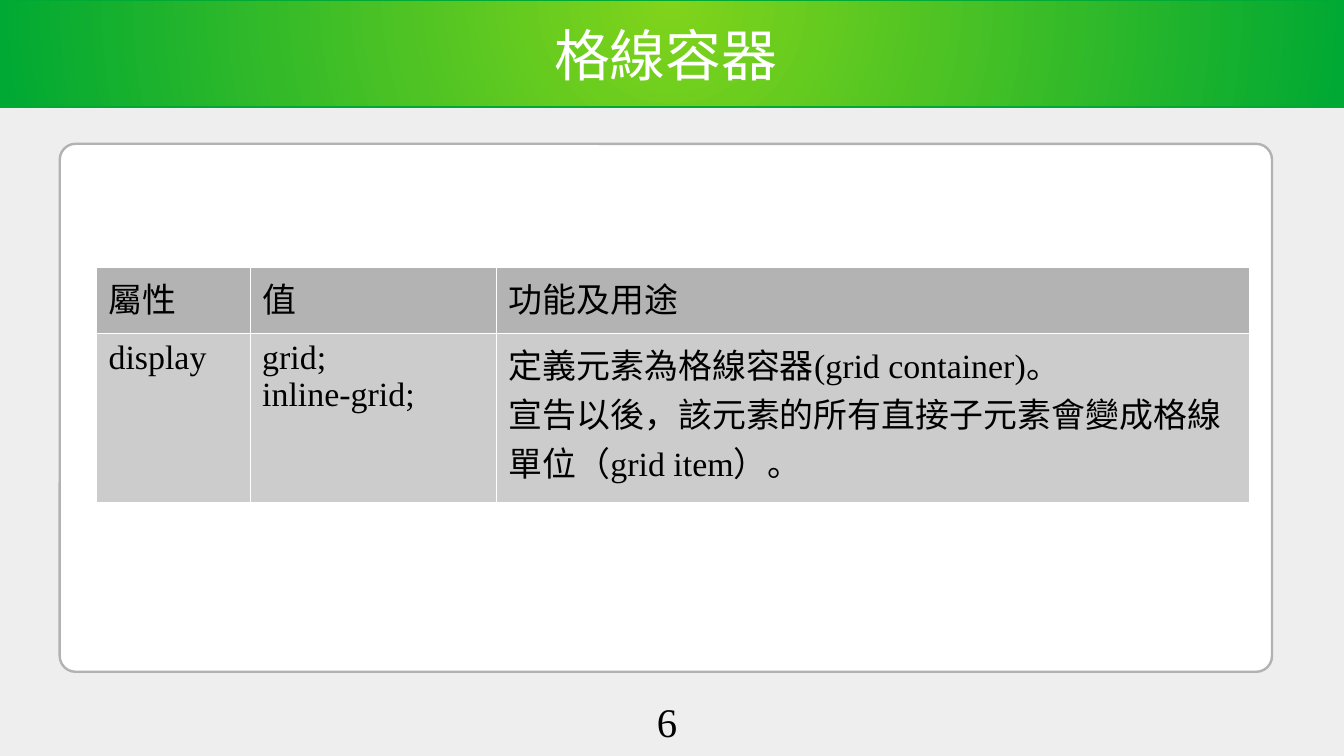
from dataclasses import dataclass

import pptx
import pptx.dml.color
import pptx.enum.dml
import pptx.enum.shapes
import pptx.enum.text
import pptx.oxml
import pptx.oxml.ns
import pptx.util
from pptx.util import Inches


@dataclass(frozen=True)
class Theme:
    background: str = "EEEEEE"
    banner_center: str = "81D41A"
    banner_edge: str = "00A933"
    panel_line: str = "B2B2B2"
    header_fill: str = "B3B3B3"
    body_fill: str = "CCCCCC"
    white: str = "FFFFFF"
    text: str = "000000"
    title_font: str = "Noto Sans"
    body_font: str = "Times New Roman"
    title_size: float = 33
    table_size: float = 20
    number_size: float = 24
    line_width: float = 1.42
    border_width: float = 0.06


THEME = Theme()
TABLE_ROWS = [
    ["屬性", "值", "功能及用途"],
    [
        "display",
        "grid;\ninline-grid;",
        "定義元素為格線容器(grid container)。\n"
        "宣告以後，該元素的所有直接子元素會變成格線單位（grid item）。",
    ],
]
COLUMN_WIDTHS = [1.26, 2.02, 6.17]
ROW_HEIGHTS = [0.54, 1.39]


def rgb(color):
    return pptx.dml.color.RGBColor.from_string(color)


def drawing_xml(markup):
    """Parse one DrawingML element; {ns} in the markup stands for its namespace."""
    return pptx.oxml.parse_xml(markup.replace("{ns}", pptx.oxml.ns.nsdecls("a")))


def format_text(text_frame, font_name, size, color, alignment):
    for paragraph in text_frame.paragraphs:
        paragraph.alignment = alignment
        for run in paragraph.runs:
            run.font.name = font_name
            run.font.size = pptx.util.Pt(size)
            run.font.bold = False
            run.font.color.rgb = rgb(color)


def add_outlined_shape(slide, kind, left, top, width, height, line_color):
    shape = slide.shapes.add_shape(
        kind, Inches(left), Inches(top), Inches(width), Inches(height))
    shape.shadow.inherit = False
    shape.line.color.rgb = rgb(line_color)
    shape.line.width = pptx.util.Pt(THEME.line_width)
    return shape


def add_banner(slide):
    banner = add_outlined_shape(
        slide, pptx.enum.shapes.MSO_SHAPE.RECTANGLE,
        0, 0, 11.02, 0.88, THEME.banner_edge)
    banner.fill.gradient()
    colors = [THEME.banner_center, THEME.banner_edge]
    for stop, color, position in zip(banner.fill.gradient_stops, colors, [0, 1]):
        stop.color.rgb = rgb(color)
        stop.position = position
    linear = banner._element.spPr.find(".//" + pptx.oxml.ns.qn("a:lin"))
    linear.getparent().replace(linear, drawing_xml(
        '<a:path {ns} path="circle">'
        '<a:fillToRect l="50000" t="0" r="50000" b="100000"/></a:path>'))


def add_panel(slide):
    panel = add_outlined_shape(
        slide, pptx.enum.shapes.MSO_SHAPE.ROUNDED_RECTANGLE,
        0.49, 1.18, 9.94, 4.33, THEME.panel_line)
    panel.adjustments[0] = 0.03
    panel.fill.solid()
    panel.fill.fore_color.rgb = rgb(THEME.white)


def place_title(slide, text):
    """Fill the title placeholder and bring it in front of the banner."""
    title = slide.shapes.title
    title.left, title.top = Inches(0.49), Inches(0.1)
    title.width, title.height = Inches(9.94), Inches(0.69)
    frame = title.text_frame
    frame.text = text
    frame.margin_left = frame.margin_right = 0
    frame.margin_top = frame.margin_bottom = 0
    frame.vertical_anchor = pptx.enum.text.MSO_ANCHOR.MIDDLE
    format_text(frame, THEME.title_font, THEME.title_size, THEME.white,
                pptx.enum.text.PP_ALIGN.CENTER)
    title._element.getparent().append(title._element)


def set_cell_borders(cell):
    properties = cell._tc.get_or_add_tcPr()
    width = int(pptx.util.Pt(THEME.border_width))
    for side in ["lnL", "lnR", "lnT", "lnB"]:
        properties.append(drawing_xml(
            f'<a:{side} {{ns}} w="{width}"><a:solidFill>'
            f'<a:srgbClr val="{THEME.white}"/></a:solidFill></a:{side}>'))


def add_property_table(slide):
    table = slide.shapes.add_table(
        len(ROW_HEIGHTS), len(COLUMN_WIDTHS), Inches(0.79), Inches(2.19),
        Inches(sum(COLUMN_WIDTHS)), Inches(sum(ROW_HEIGHTS))).table
    table.first_row = False
    table.horz_banding = False
    for column, width in zip(table.columns, COLUMN_WIDTHS):
        column.width = Inches(width)
    fills = [THEME.header_fill, THEME.body_fill]
    for row, height, texts, fill in zip(table.rows, ROW_HEIGHTS, TABLE_ROWS, fills):
        row.height = Inches(height)
        for cell, text in zip(row.cells, texts):
            cell.text_frame.text = text
            format_text(cell.text_frame, THEME.body_font, THEME.table_size,
                        THEME.text, pptx.enum.text.PP_ALIGN.LEFT)
            set_cell_borders(cell)
            cell.fill.solid()
            cell.fill.fore_color.rgb = rgb(fill)


def add_page_number(slide, number):
    box = slide.shapes.add_textbox(
        Inches(3.94), Inches(5.67), Inches(3.06), Inches(0.47))
    box.text_frame.word_wrap = True
    box.text_frame.text = number
    format_text(box.text_frame, THEME.body_font, THEME.number_size,
                THEME.text, pptx.enum.text.PP_ALIGN.CENTER)


def main():
    presentation = pptx.Presentation()
    presentation.slide_width = Inches(11.02)
    presentation.slide_height = Inches(6.2)
    slide = presentation.slides.add_slide(
        presentation.slide_layouts.get_by_name("Title Only"))
    slide.background.fill.solid()
    slide.background.fill.fore_color.rgb = rgb(THEME.background)
    add_banner(slide)
    add_panel(slide)
    place_title(slide, "格線容器")
    add_property_table(slide)
    add_page_number(slide, "6")
    presentation.save("out.pptx")


if __name__ == "__main__":
    main()
